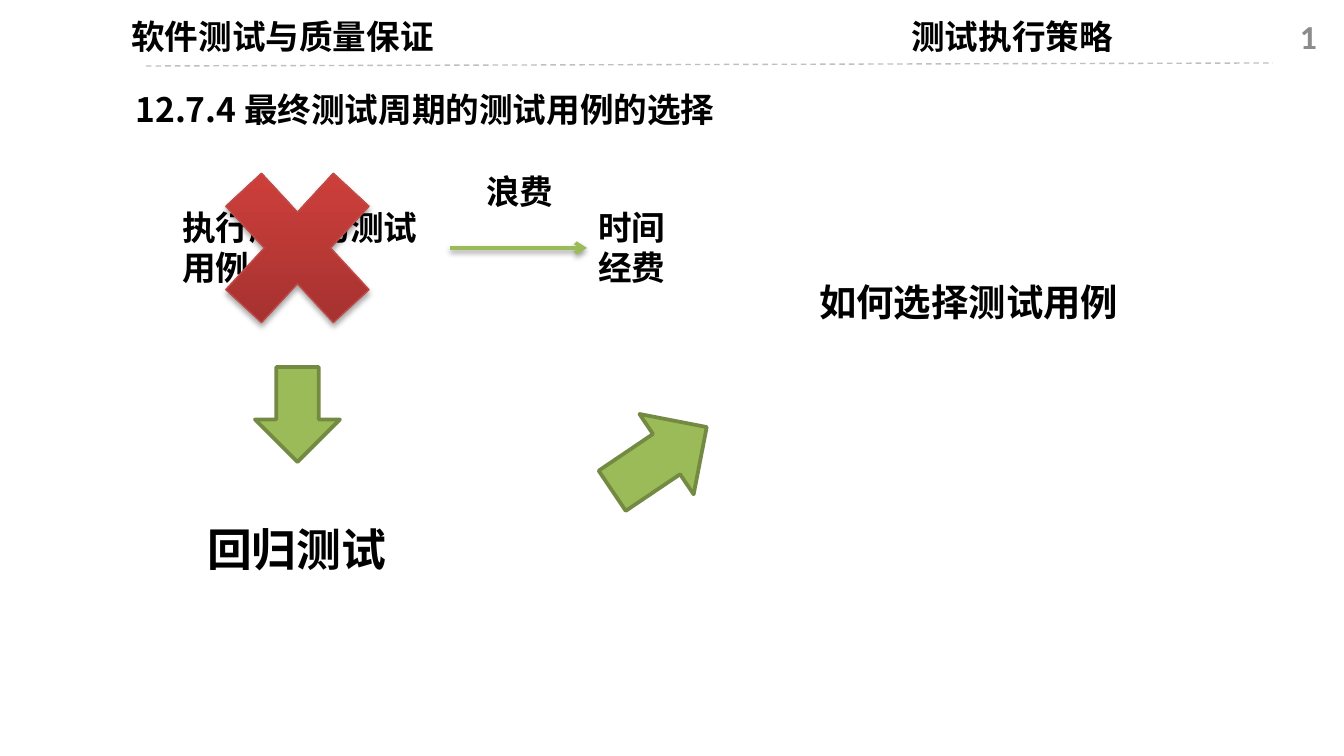
from lxml.etree import SubElement
from pptx import Presentation
from pptx.dml.color import RGBColor
from pptx.enum.dml import MSO_LINE
from pptx.enum.shapes import MSO_CONNECTOR, MSO_SHAPE
from pptx.enum.text import MSO_ANCHOR, PP_ALIGN
from pptx.oxml import parse_xml
from pptx.oxml.ns import nsdecls, qn
from pptx.util import Pt

PX = 914400 / 134.4
W, H = 1344, 756
COLORS = {"text": "000000", "number": "8C8C8C", "rule": "BFBFBF", "green": "9BBB59",
          "green edge": "738A42", "cross edge": "BF4C48", "shadow": "000000"}
CROSS_STOPS = [(0, "9C2F2D"), (80, "CB3E3A"), (100, "CE3B37")]
LATIN, CJK = "Calibri", "Noto Sans CJK SC"

# Content: text, box (left, top, width, height), size, font, alignment
TITLE = ("12.7.4 最终测试周期的测试用例的选择", (122, 82, 973, 54), 18, CJK, PP_ALIGN.LEFT)
HEADER = [
    ("软件测试与质量保证", (83, 9, 399, 54), 18, CJK, PP_ALIGN.CENTER),
    ("测试执行策略", (898, 9, 508, 54), 18, LATIN, PP_ALIGN.LEFT),
]
ALL_CASES = ("执行所有的测试用例", (169, 200, 280, 95), 18, LATIN, PP_ALIGN.LEFT)
LABELS = [
    ("回归测试", (194, 515, 325, 67), 24, LATIN, PP_ALIGN.LEFT),
    ("如何选择测试用例", (806, 273, 578, 59), 20, LATIN, PP_ALIGN.LEFT),
    ("时间\n经费", (585, 200, 109, 95), 18, LATIN, PP_ALIGN.LEFT),
    ("浪费", (473, 164, 114, 54), 18, LATIN, PP_ALIGN.LEFT),
]
NUMBER_BOX = (1017, 16, 313, 40)
CROSS_BOX = (194, 136, 207, 224)
BLOCK_ARROWS = [
    (MSO_SHAPE.DOWN_ARROW, (255, 367, 85, 95), 0),
    (MSO_SHAPE.UP_ARROW, (611, 402, 97, 114), 56),
]
RULE = (146, 66, 1273, 63)
WASTE_ARROW = (450, 248, 587, 248)


def emu(values):
    return [round(v * PX) for v in values]


def rgb(name):
    return RGBColor.from_string(COLORS[name])


def style_run(r, size, font, color="text"):
    r.font.size, r.font.bold, r.font.name = Pt(size), True, font
    r.font.color.rgb = rgb(color)
    SubElement(r.font._element, qn("a:ea")).set("typeface", CJK)


def fill_text(sp, text, size, font, align, color="text"):
    tf = sp.text_frame
    tf.word_wrap = True
    tf.vertical_anchor = MSO_ANCHOR.TOP
    tf.text = text
    for p in tf.paragraphs:
        p.alignment = align
        for r in p.runs:
            style_run(r, size, font, color)


def add_text(s, text, box, *style):
    sp = s.shapes.add_textbox(*emu(box))
    fill_text(sp, text, *style)
    return sp


def add_line(s, ends, color, width):
    line = s.shapes.add_connector(MSO_CONNECTOR.STRAIGHT, *emu(ends))
    line.line.color.rgb, line.line.width = rgb(color), Pt(width)
    return line, SubElement(line._element.spPr, qn("a:effectLst"))


def add_shape(s, kind, box, edge, width):
    sp = s.shapes.add_shape(kind, *emu(box))
    sp.shadow.inherit = False
    sp.line.color.rgb, sp.line.width = rgb(edge), Pt(width)
    return sp


def add_shadow(effects, alpha, distance):
    effects.append(parse_xml(
        f'<a:outerShdw {nsdecls("a")} blurRad="{Pt(3.1)}" dist="{Pt(distance)}" '
        f'dir="5400000" rotWithShape="0"><a:srgbClr val="{COLORS["shadow"]}">'
        f'<a:alpha val="{alpha * 1000}"/></a:srgbClr></a:outerShdw>'))


prs = Presentation()
prs.slide_width, prs.slide_height = emu((W, H))
s = prs.slides.add_slide(prs.slide_layouts[5])

# Header and title
for item in HEADER:
    add_text(s, *item)
rule, _ = add_line(s, RULE, "rule", 0.75)
rule.line.dash_style = MSO_LINE.DASH
title = s.shapes.title
title.left, title.top, title.width, title.height = emu(TITLE[1])
fill_text(title, TITLE[0], *TITLE[2:])

# Page number as a field
number = add_text(s, "1", NUMBER_BOX, 18, LATIN, PP_ALIGN.RIGHT, "number")
number.text_frame.vertical_anchor = MSO_ANCHOR.MIDDLE
run = number.text_frame.paragraphs[0].runs[0]._r
run.tag = qn("a:fld")
run.set("id", "{B6F15528-21DE-4FAA-801E-634DDDAF4B2B}")
run.set("type", "slidenum")

# Rejected option: running every case
add_text(s, *ALL_CASES)
cross = add_shape(s, MSO_SHAPE.MATH_MULTIPLY, CROSS_BOX, "cross edge", 0.75)
stops = "".join(f'<a:gs pos="{pos * 1000}"><a:srgbClr val="{color}"/></a:gs>'
                for pos, color in CROSS_STOPS)
cross._element.spPr.find(qn("a:prstGeom")).addnext(parse_xml(
    f'<a:gradFill {nsdecls("a")} rotWithShape="1"><a:gsLst>{stops}</a:gsLst>'
    '<a:lin ang="16200000" scaled="0"/></a:gradFill>'))
add_shadow(cross._element.spPr.find(qn("a:effectLst")), 35, 1.8)

# Flow arrows and labels
for kind, box, angle in BLOCK_ARROWS:
    arrow = add_shape(s, kind, box, "green edge", 2)
    arrow.fill.solid()
    arrow.fill.fore_color.rgb = rgb("green")
    arrow.rotation = angle
waste, effects = add_line(s, WASTE_ARROW, "green", 2)
SubElement(waste.line._get_or_add_ln(), qn("a:tailEnd")).set("type", "arrow")
add_shadow(effects, 38, 1.6)
for item in LABELS:
    add_text(s, *item)

prs.save("out.pptx")
